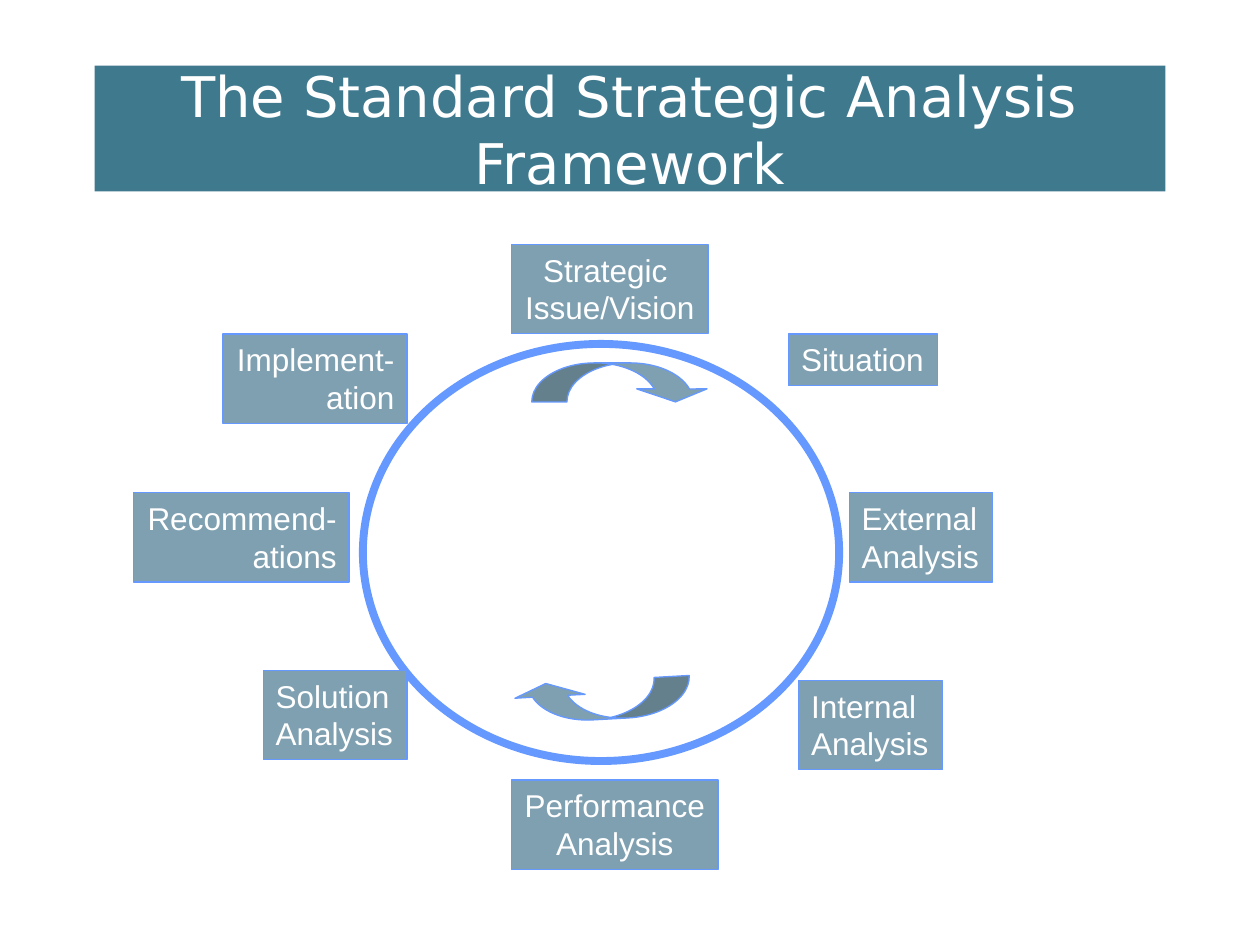
from dataclasses import dataclass

from pptx import Presentation
from pptx.dml.color import RGBColor
from pptx.enum.shapes import MSO_SHAPE as Shape
from pptx.enum.text import MSO_ANCHOR as Anchor, MSO_AUTO_SIZE as AutoSize, PP_ALIGN as Align
from pptx.util import Inches, Pt


@dataclass(frozen=True)
class Theme:
    banner: RGBColor = RGBColor(0x3E, 0x79, 0x8E)
    step: RGBColor = RGBColor(0x7F, 0xA0, 0xB1)
    outline: RGBColor = RGBColor(0x66, 0x99, 0xFF)
    text: RGBColor = RGBColor(0xFF, 0xFF, 0xFF)
    title_font: str = "DejaVu Sans"
    step_font: str = "Arial"
    title_size: Pt = Pt(32)
    step_size: Pt = Pt(18)
    thin: Pt = Pt(0.75)
    thick: Pt = Pt(4.5)


class CycleSlide:
    """Holds the theme and the slide on which the cycle is drawn."""

    def __init__(self, slide, theme):
        self.slide = slide
        self.theme = theme

    def _paint(self, shape, fill, line_width):
        if fill is None:
            shape.fill.background()
        else:
            shape.fill.solid()
            shape.fill.fore_color.rgb = fill
        shape.line.color.rgb = self.theme.outline
        shape.line.width = line_width
        shape.shadow.inherit = False

    def _write(self, paragraph, text, align, font_name, size):
        paragraph.alignment = align
        run = paragraph.add_run()
        run.text = text
        run.font.name = font_name
        run.font.size = size
        run.font.color.rgb = self.theme.text

    def title(self, text, left, top, width, height):
        banner = self.slide.shapes.title
        banner.left, banner.top = Inches(left), Inches(top)
        banner.width, banner.height = Inches(width), Inches(height)
        banner.fill.solid()
        banner.fill.fore_color.rgb = self.theme.banner
        frame = banner.text_frame
        frame.auto_size = AutoSize.NONE
        frame.vertical_anchor = Anchor.MIDDLE
        self._write(frame.paragraphs[0], text, Align.CENTER,
                    self.theme.title_font, self.theme.title_size)

    def ring(self, left, top, width, height):
        oval = self.slide.shapes.add_shape(
            Shape.OVAL, Inches(left), Inches(top), Inches(width), Inches(height))
        self._paint(oval, None, self.theme.thick)

    def step(self, lines, left, top, width, align):
        height = 0.41 + 0.3 * (len(lines) - 1)
        box = self.slide.shapes.add_textbox(
            Inches(left), Inches(top), Inches(width), Inches(height))
        self._paint(box, self.theme.step, self.theme.thin)
        frame = box.text_frame
        frame.word_wrap = False
        frame.auto_size = AutoSize.SHAPE_TO_FIT_TEXT
        for index, line in enumerate(lines):
            paragraph = frame.add_paragraph() if index else frame.paragraphs[0]
            self._write(paragraph, line, align,
                        self.theme.step_font, self.theme.step_size)

    def turn_arrow(self, left, top, rotation=0):
        arrow = self.slide.shapes.add_shape(
            Shape.CURVED_DOWN_ARROW, Inches(left), Inches(top), Inches(1.42), Inches(0.31))
        for index, value in enumerate((0.902, 1.803, 0.333)):
            arrow.adjustments[index] = value
        arrow.rotation = rotation
        self._paint(arrow, self.theme.step, self.theme.thin)


# Clockwise from the top: lines, left, top, width, alignment
STEPS = [
    (["Strategic ", "Issue/Vision"], 4.06, 1.94, 1.56, Align.CENTER),
    (["Situation"], 6.26, 2.65, 1.18, Align.LEFT),
    (["External", "Analysis"], 6.74, 3.91, 1.14, Align.LEFT),
    (["Internal", "Analysis"], 6.34, 5.4, 1.14, Align.LEFT),
    (["Performance", "Analysis"], 4.06, 6.19, 1.64, Align.CENTER),
    (["Solution", "Analysis"], 2.09, 5.32, 1.14, Align.LEFT),
    (["Recommend-", "ations"], 1.06, 3.91, 1.71, Align.RIGHT),
    (["Implement-", "ation"], 1.77, 2.65, 1.46, Align.RIGHT),
]


def main():
    deck = Presentation()
    deck.slide_width, deck.slide_height = Inches(10), Inches(7.5)
    title_only = deck.slide_layouts[5]
    cycle = CycleSlide(deck.slides.add_slide(title_only), Theme())

    cycle.title("The Standard Strategic Analysis Framework", 0.75, 0.52, 8.5, 1)
    cycle.ring(2.88, 2.73, 3.78, 3.31)
    for step in STEPS:
        cycle.step(*step)
    cycle.turn_arrow(4.22, 2.88)
    cycle.turn_arrow(4.06, 5.4, rotation=176.8)

    deck.save("out.pptx")


if __name__ == "__main__":
    main()
